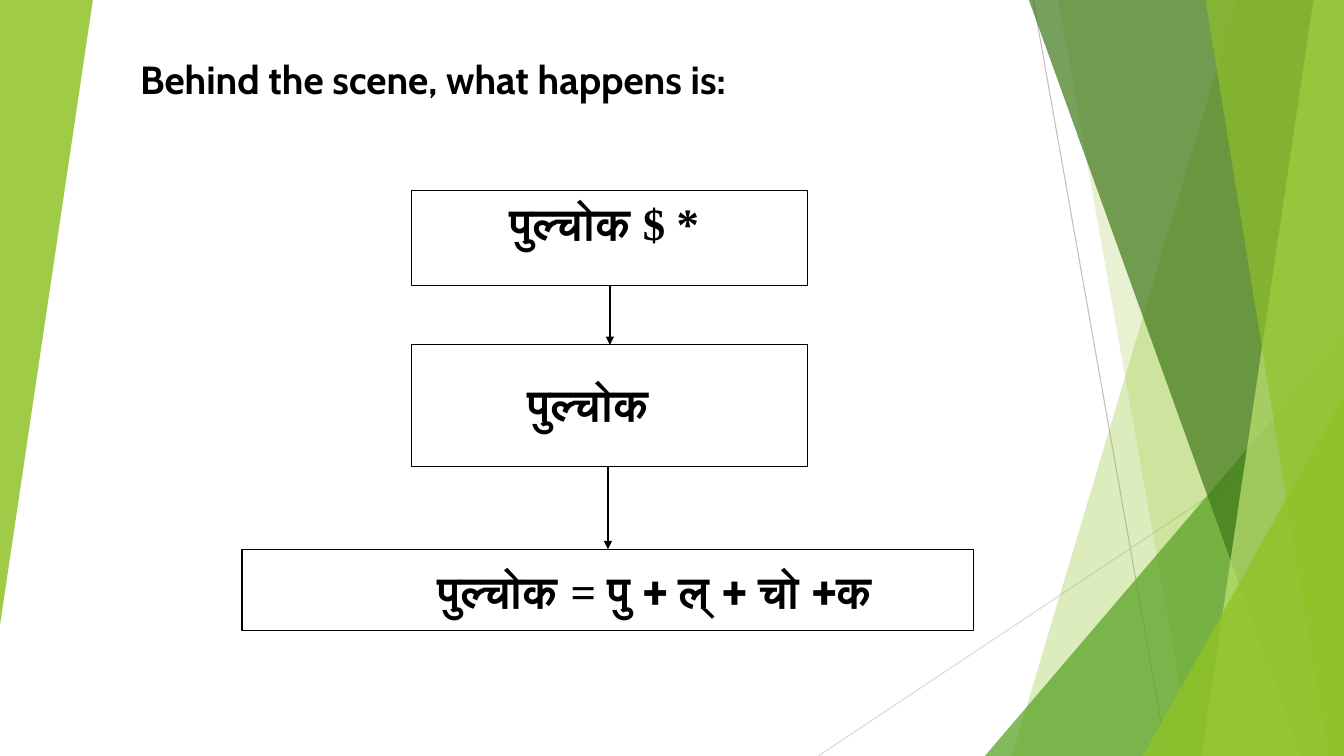
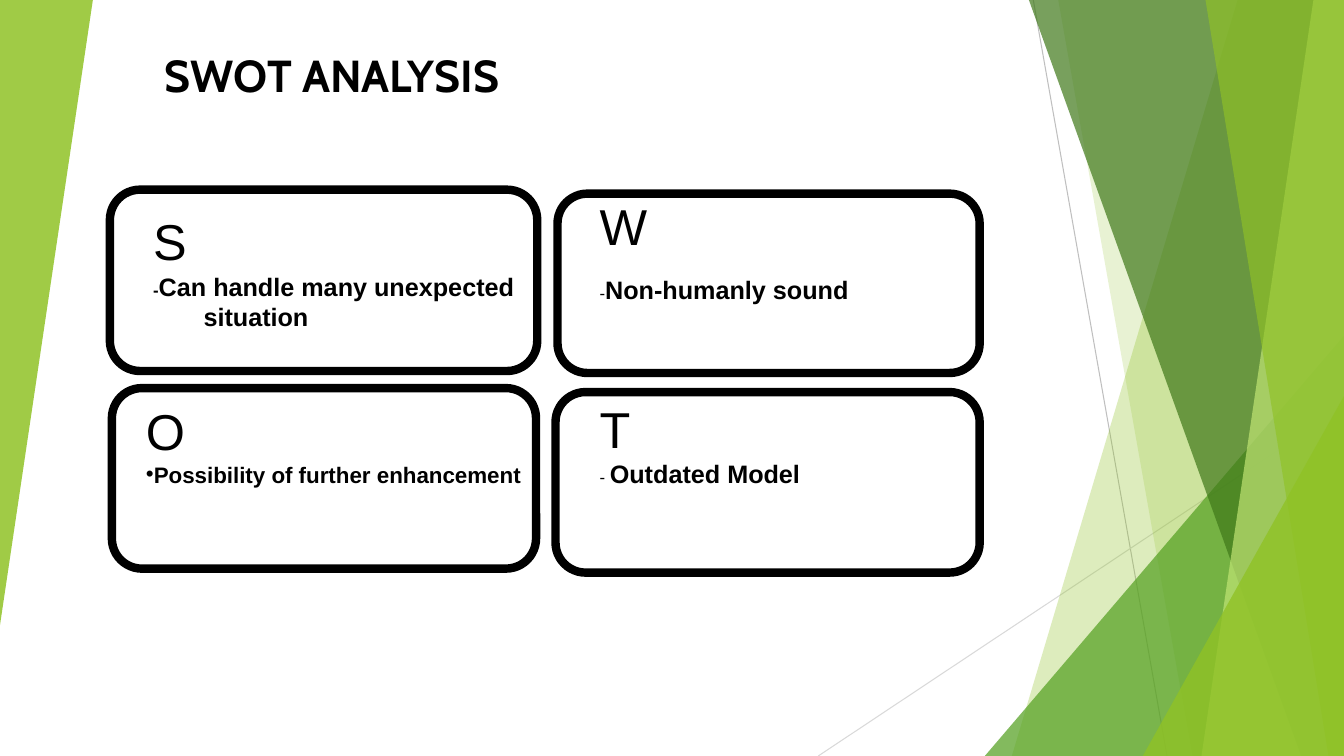
from dataclasses import dataclass
from typing import Optional, Union

import lxml.etree
import pptx
import pptx.dml.color
import pptx.enum.shapes
import pptx.enum.text
import pptx.oxml.ns
import pptx.util

Cm = pptx.util.Cm
Pt = pptx.util.Pt
Shapes = pptx.enum.shapes.MSO_SHAPE
Align = pptx.enum.text.PP_ALIGN
Anchor = pptx.enum.text.MSO_ANCHOR

# Shared look
WIDTH, HEIGHT = 33.87, 19.05
BLACK, LIME, LEAF, FOREST, PALE = "000000", "90C226", "54A021", "3F7819", "C0E474"
TITLE_FONT, WORD_FONT, SIGN_FONT, CARD_FONT = "Cabin", "Roboto", "Times New Roman", "Arial"


@dataclass(frozen=True)
class Area:
    left: float
    top: float
    width: float
    height: float

    @property
    def center(self) -> float:
        return self.left + self.width / 2

    @property
    def bottom(self) -> float:
        return self.top + self.height


@dataclass(frozen=True)
class Shard:
    """A band from a slanted left side to the right slide edge."""
    top_x: float
    bottom_x: float
    color: str
    opacity: int


@dataclass(frozen=True)
class Corner:
    """A right-angled triangle; turned ones point down at the left."""
    area: Area
    color: str
    opacity: int
    rotation: int = 0


@dataclass(frozen=True)
class Ray:
    x1: float
    y1: float
    x2: float
    y2: float
    color: str
    width: float = 0.75
    arrow: bool = False


@dataclass(frozen=True)
class Span:
    text: str
    size: Optional[float] = None
    font: Optional[str] = None
    bold: Optional[bool] = None


@dataclass(frozen=True)
class Line:
    spans: tuple[Span, ...]
    size: float
    font: str
    bold: bool = True
    align: Align = Align.LEFT
    indent: float = 0
    spacing: float = 1.0
    before: float = 0
    bullet: str = ""
    tab: float = 0


@dataclass(frozen=True)
class Step:
    area: Area
    line: Line
    anchor: Anchor = Anchor.TOP


@dataclass(frozen=True)
class Card:
    frame: Area
    text: Area
    letter: str
    line: Line


RAYS = (
    Ray(26.04, 0, 29.41, HEIGHT, "BFBFBF"),
    Ray(WIDTH, 10.24, 20.62, HEIGHT, "D9D9D9"),
)
FACETS: tuple[Union[Shard, Corner], ...] = (
    Shard(31.19, 25.5, LIME, 30),
    Shard(26.67, 30.05, LIME, 20),
    Corner(Area(24.82, 8.46, 9.05, 10.59), LEAF, 72),
    Shard(25.93, 32.79, FOREST, 70),
    Shard(33.1, 30.28, PALE, 70),
    Shard(30.38, 33.48, LIME, 65),
    Corner(Area(28.8, 9.98, 5.07, 9.07), LIME, 80),
    Corner(Area(0, 0, 2.34, 15.75), LIME, 85, 180),
)


# Drawing helpers
def rgb(value: str) -> pptx.dml.color.RGBColor:
    return pptx.dml.color.RGBColor.from_string(value)


def add_node(parent, tag: str, **attributes: str):
    return lxml.etree.SubElement(parent, pptx.oxml.ns.qn(tag), attributes)


def place(area: Area) -> tuple[int, ...]:
    return Cm(area.left), Cm(area.top), Cm(area.width), Cm(area.height)


def add_ray(page, ray: Ray) -> None:
    connector = page.shapes.add_connector(
        pptx.enum.shapes.MSO_CONNECTOR.STRAIGHT,
        Cm(ray.x1), Cm(ray.y1), Cm(ray.x2), Cm(ray.y2))
    connector.line.color.rgb = rgb(ray.color)
    connector.line.width = Pt(ray.width)
    if ray.arrow:
        add_node(connector.line._get_or_add_ln(), "a:tailEnd", type="triangle")
    add_node(connector._element.spPr, "a:effectLst")


def add_facet(page, facet: Union[Shard, Corner]) -> None:
    if isinstance(facet, Shard):
        builder = page.shapes.build_freeform(Cm(facet.top_x), 0)
        builder.add_line_segments([
            (Cm(WIDTH), 0), (Cm(WIDTH), Cm(HEIGHT)), (Cm(facet.bottom_x), Cm(HEIGHT))])
        shape = builder.convert_to_shape()
    else:
        shape = page.shapes.add_shape(Shapes.ISOSCELES_TRIANGLE, *place(facet.area))
        shape.adjustments[0] = 1.0
        shape.rotation = facet.rotation
    shape.shadow.inherit = False
    shape.line.fill.background()
    shape.fill.solid()
    shape.fill.fore_color.rgb = rgb(facet.color)
    color = shape.fill._xPr.find(".//" + pptx.oxml.ns.qn("a:srgbClr"))
    add_node(color, "a:alpha", val=str(facet.opacity * 1000))


def add_outline(page, kind: Shapes, area: Area, width: float):
    shape = page.shapes.add_shape(kind, *place(area))
    shape.shadow.inherit = False
    shape.fill.background()
    shape.line.color.rgb = rgb(BLACK)
    shape.line.width = Pt(width)
    return shape


def write_line(paragraph, line: Line) -> None:
    properties = paragraph._p.get_or_add_pPr()
    properties.set("marL", str(Cm(line.indent)))
    properties.set("indent", "0")
    if line.bullet:
        add_node(properties, "a:buFont", typeface=line.font)
        add_node(properties, "a:buChar", char=line.bullet)
    if line.tab:
        stops = add_node(properties, "a:tabLst")
        add_node(stops, "a:tab", pos=str(Cm(line.tab)), algn="l")
    paragraph.alignment = line.align
    paragraph.line_spacing = line.spacing
    paragraph.space_before = Pt(line.before)
    paragraph.font.size = Pt(line.size)
    paragraph.font.bold = line.bold
    paragraph.font.name = line.font
    paragraph.font.color.rgb = rgb(BLACK)
    for span in line.spans:
        for number, piece in enumerate(span.text.split("\n")):
            if number:
                paragraph.add_line_break()
            run = paragraph.add_run()
            run.text = piece
            if span.size:
                run.font.size = Pt(span.size)
            if span.font:
                run.font.name = span.font
            if span.bold is not None:
                run.font.bold = span.bold


def write(shape, *lines: Line, anchor: Anchor = Anchor.TOP) -> None:
    frame = shape.text_frame
    frame.word_wrap = True
    frame.vertical_anchor = anchor
    for number, line in enumerate(lines):
        write_line(frame.add_paragraph() if number else frame.paragraphs[0], line)


def add_text(page, area: Area, *lines: Line) -> None:
    write(page.shapes.add_textbox(*place(area)), *lines)


def add_page(deck):
    page = deck.slides.add_slide(deck.slide_layouts[6])
    for ray in RAYS:
        add_ray(page, ray)
    for facet in FACETS:
        add_facet(page, facet)
    return page


def add_title(page, area: Area, text: str, size: float, align: Align = Align.LEFT) -> None:
    add_text(page, area, Line((Span(text),), size, TITLE_FONT, align=align))


def add_steps(page, steps: tuple[Step, ...]) -> None:
    for step in steps:
        box = add_outline(page, Shapes.RECTANGLE, step.area, 0.75)
        write(box, step.line, anchor=step.anchor)
    for upper, lower in zip(steps, steps[1:]):
        x = lower.area.center
        add_ray(page, Ray(x, upper.area.bottom, x, lower.area.top, BLACK, 1, True))


def add_card(page, card: Card) -> None:
    add_outline(page, Shapes.ROUNDED_RECTANGLE, card.frame, 6)
    letter = Line((Span(card.letter),), 36, CARD_FONT, bold=False)
    add_text(page, card.text, letter, card.line)


deck = pptx.Presentation()
deck.slide_width, deck.slide_height = Cm(WIDTH), Cm(HEIGHT)

# Slide 1: steps of splitting a word
WORD = Span("पुल्चोक")
STEPS = (
    Step(Area(10.38, 4.8, 9.98, 2.39),
         Line((WORD, Span(" $ * ", font=SIGN_FONT)), 32, WORD_FONT, align=Align.CENTER)),
    Step(Area(10.38, 8.69, 9.98, 3.07),
         Line((WORD,), 32, WORD_FONT, align=Align.JUSTIFY, indent=2.67, spacing=1.5)),
    Step(Area(6.1, 13.84, 18.44, 2.06),
         Line((WORD, Span(" = ", font=SIGN_FONT), Span("पु + ल् + चो +क ")), 32, WORD_FONT,
              align=Align.CENTER, indent=2.67), Anchor.MIDDLE),
)
page = add_page(deck)
add_steps(page, STEPS)
add_title(page, Area(3.28, 1.27, 18.75, 1.45), "Behind the scene, what happens is:", 28)

# Slide 2: four SWOT cards
CARDS = (
    Card(Area(2.77, 4.78, 10.77, 4.57), Area(3.61, 5.18, 9.7, 4.34), "S",
         Line((Span("-", 12), Span("Can handle many unexpected\n\tsituation")), 18, CARD_FONT,
              tab=2.54)),
    Card(Area(14.05, 4.88, 10.64, 4.52), Area(14.86, 4.8, 8.51, 4.72), "W",
         Line((Span("-", 12, bold=False), Span("Non-humanly sound")), 18, CARD_FONT,
              before=13)),
    Card(Area(2.82, 9.78, 10.69, 4.55), Area(3.43, 9.96, 10.39, 5.49), "O",
         Line((Span("Possibility of further enhancement"),), 16, CARD_FONT, bullet="•")),
    Card(Area(14, 9.88, 10.69, 4.55), Area(14.86, 9.91, 9.25, 5.28), "T",
         Line((Span("- ", 12, bold=False), Span("Outdated Model")), 18, CARD_FONT)),
)
page = add_page(deck)
for card in CARDS:
    add_card(page, card)
add_title(page, Area(-1.17, 1.09, 19.08, 1.63), "SWOT ANALYSIS", 32, Align.CENTER)

deck.save("out.pptx")
